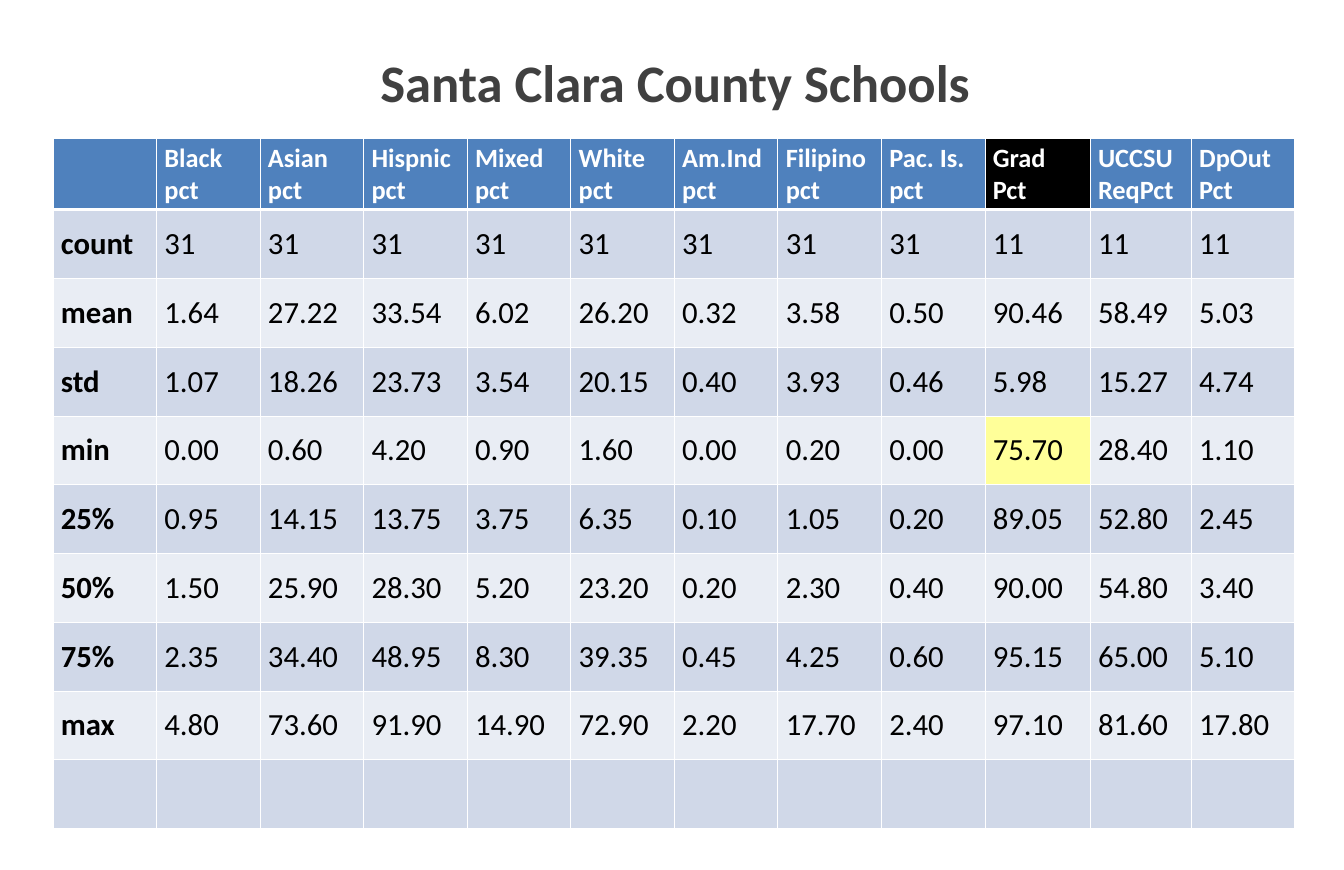
from lxml.etree import SubElement
from pptx import Presentation
from pptx.dml.color import RGBColor
from pptx.enum.text import MSO_ANCHOR as Anchor, MSO_AUTO_SIZE as AutoSize, PP_ALIGN as Align
from pptx.oxml.ns import qn
from pptx.util import Inches, Pt

COLORS = {
    "title": "404040",
    "header": "4F81BD",
    "grad_header": "000000",
    "band_dark": "D0D8E8",
    "band_light": "E9EDF4",
    "highlight": "FFFF99",
    "white": "FFFFFF",
    "text": "000000",
}

HEADERS = [
    "", "Black\npct", "Asian\npct", "Hispnic\npct", "Mixed\npct", "White\npct",
    "Am.Ind\npct", "Filipino\npct", "Pac. Is.\npct", "Grad\nPct",
    "UCCSU\nReqPct", "DpOut\nPct",
]
STATISTICS = [
    ["count"] + ["31"] * 8 + ["11"] * 3,
    "mean 1.64 27.22 33.54 6.02 26.20 0.32 3.58 0.50 90.46 58.49 5.03".split(),
    "std 1.07 18.26 23.73 3.54 20.15 0.40 3.93 0.46 5.98 15.27 4.74".split(),
    "min 0.00 0.60 4.20 0.90 1.60 0.00 0.20 0.00 75.70 28.40 1.10".split(),
    "25% 0.95 14.15 13.75 3.75 6.35 0.10 1.05 0.20 89.05 52.80 2.45".split(),
    "50% 1.50 25.90 28.30 5.20 23.20 0.20 2.30 0.40 90.00 54.80 3.40".split(),
    "75% 2.35 34.40 48.95 8.30 39.35 0.45 4.25 0.60 95.15 65.00 5.10".split(),
    "max 4.80 73.60 91.90 14.90 72.90 2.20 17.70 2.40 97.10 81.60 17.80".split(),
    [""] * len(HEADERS),
]
COLUMN_WIDTHS = [1.31] * 9 + [1.33, 1.28, 1.31]
ROW_HEIGHT = 0.87
GRAD_COLUMN = HEADERS.index("Grad\nPct")
MIN_ROW = 4


class Page:
    font = "Calibri"

    def __init__(self, deck):
        self.slide = deck.slides.add_slide(deck.slide_layouts[5])

    def add_text(self, frame, text, size, color, bold):
        for index, line in enumerate(text.split("\n")):
            para = frame.paragraphs[0] if index == 0 else frame.add_paragraph()
            para.alignment = Align.LEFT
            span = para.add_run()
            span.text = line
            span.font.name = self.font
            span.font.size = Pt(size)
            span.font.bold = bold
            span.font.color.rgb = RGBColor.from_string(COLORS[color])

    def title(self, text, left, top, width, height):
        box = self.slide.shapes.title
        box.left, box.top = Inches(left), Inches(top)
        box.width, box.height = Inches(width), Inches(height)
        frame = box.text_frame
        frame.word_wrap = True
        frame.auto_size = AutoSize.SHAPE_TO_FIT_TEXT
        frame.vertical_anchor = Anchor.TOP
        self.add_text(frame, text, 48, "title", True)

    def borders(self, cell, top, bottom):
        properties = cell._tc.get_or_add_tcPr()
        for side, width in (("L", 1), ("R", 1), ("T", top), ("B", bottom)):
            line = SubElement(properties, qn(f"a:ln{side}"), w=str(Pt(width)))
            fill = SubElement(line, qn("a:solidFill"))
            SubElement(fill, qn("a:srgbClr"), val=COLORS["white"])

    def cell(self, cell, text, fill, size, color, bold, top=1, bottom=1):
        self.borders(cell, top, bottom)
        cell.fill.solid()
        cell.fill.fore_color.rgb = RGBColor.from_string(COLORS[fill])
        cell.vertical_anchor = Anchor.MIDDLE
        if text:
            self.add_text(cell.text_frame, text, size, color, bold)

    def table(self, left, top, headers, rows):
        count = len(rows) + 1
        table = self.slide.shapes.add_table(
            count, len(headers), Inches(left), Inches(top),
            Inches(sum(COLUMN_WIDTHS)), Inches(ROW_HEIGHT * count)).table
        for column, width in zip(table.columns, COLUMN_WIDTHS):
            column.width = Inches(width)
        for row in table.rows:
            row.height = Inches(ROW_HEIGHT)
        for column, text in enumerate(headers):
            fill = "grad_header" if column == GRAD_COLUMN else "header"
            self.cell(table.cell(0, column), text, fill, 24, "white", True, bottom=3)
        for row, values in enumerate(rows, 1):
            band = "band_dark" if row % 2 else "band_light"
            for column, text in enumerate(values):
                fill = "highlight" if (row, column) == (MIN_ROW, GRAD_COLUMN) else band
                self.cell(table.cell(row, column), text, fill, 28, "text",
                          column == 0, top=3 if row == 1 else 1)


deck = Presentation()
deck.slide_width, deck.slide_height = Inches(17), Inches(11)
page = Page(deck)
page.title("Santa Clara County Schools", 4.71, 0.58, 7.71, 0.91)
page.table(0.67, 1.75, HEADERS, STATISTICS)
deck.save("out.pptx")
